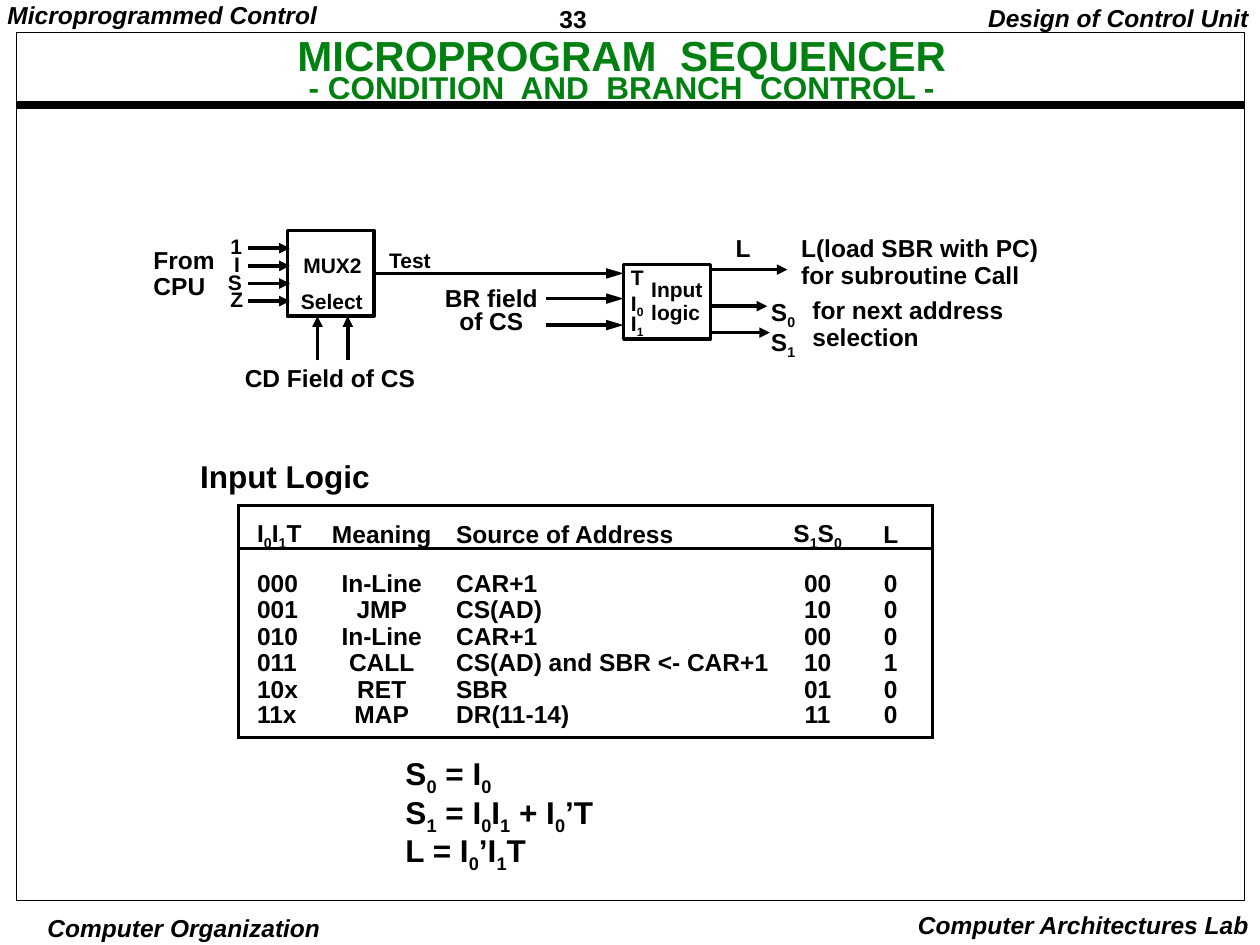
from lxml import etree
from pptx import Presentation
from pptx.dml.color import RGBColor
from pptx.enum.shapes import MSO_CONNECTOR, MSO_SHAPE
from pptx.enum.text import MSO_ANCHOR, PP_ALIGN
from pptx.oxml.ns import qn
from pptx.util import Inches, Pt

COLORS = {"ink": "000000", "title": "008011"}
FONT = "Arial"


def style_font(font, size, color="ink", italic=False):
    font.name, font.size, font.bold, font.italic = FONT, Pt(size), True, italic
    font.color.rgb = RGBColor.from_string(COLORS[color])


def write_text(paragraph, text, size, align=PP_ALIGN.LEFT, spacing=0.9, italic=False):
    """Write text in which an underscore makes the next character a subscript."""
    paragraph.alignment, paragraph.line_spacing = align, spacing
    style_font(paragraph.font, size, italic=italic)
    first, *rest = text.split("_")
    pieces = [(first, False)]
    for part in rest:
        pieces += [(part[0], True), (part[1:], False)]
    for piece, subscript in pieces:
        if piece:
            run = paragraph.add_run()
            run.text = piece
            if subscript:
                run.font._element.set("baseline", "-25000")


def set_insets(frame, horizontal, vertical):
    frame.margin_left = frame.margin_right = Inches(horizontal)
    frame.margin_top = frame.margin_bottom = Inches(vertical)


def add_label(slide, left, top, width, height, text, size=14, insets=(0.1, 0.05),
              wrap=False, **style):
    frame = slide.shapes.add_textbox(
        Inches(left), Inches(top), Inches(width), Inches(height)).text_frame
    frame.word_wrap = wrap
    set_insets(frame, *insets)
    for index, line in enumerate(text.split("\n")):
        paragraph = frame.add_paragraph() if index else frame.paragraphs[0]
        write_text(paragraph, line, size, **style)


def add_box(slide, left, top, width, height, weight=2):
    shape = slide.shapes.add_shape(
        MSO_SHAPE.RECTANGLE, Inches(left), Inches(top), Inches(width), Inches(height))
    shape.shadow.inherit = False
    shape.fill.background()
    shape.line.color.rgb = RGBColor.from_string(COLORS["ink"])
    shape.line.width = Pt(weight)
    return shape


def add_line(slide, start, end, weight=2, head=None):
    """Draw a line; head gives the arrowhead's width and length."""
    line = slide.shapes.add_connector(
        MSO_CONNECTOR.STRAIGHT, *(Inches(value) for value in (*start, *end)))
    line.line.color.rgb = RGBColor.from_string(COLORS["ink"])
    line.line.width = Pt(weight)
    if head:
        etree.SubElement(line.line._get_or_add_ln(), qn("a:tailEnd"),
                         type="triangle", w=head[0], len=head[1])
    etree.SubElement(line._element.spPr, qn("a:effectLst"))
    return line


def add_page_frame(slide, left, top, width, height):
    right, bottom = left + width, top + height
    add_label(slide, 0, 0, 2.8, 0.27, "Microprogrammed Control",
              insets=(0.06, 0.03), italic=True)
    add_label(slide, 4.37, 0, 1.08, 0.29, "33", insets=(0.07, 0.03), spacing=1)
    add_label(slide, right - 2.47, 0, 2.6, 0.31, "Design of Control Unit",
              align=PP_ALIGN.RIGHT, italic=True)
    add_label(slide, left + 0.03, bottom + 0.09, 2.6, 0.26, "Computer Organization",
              insets=(0.03, 0.01), align=PP_ALIGN.CENTER, spacing=1, italic=True)
    add_label(slide, right - 2.97, bottom + 0.02, 3.1, 0.33, "Computer Architectures Lab",
              align=PP_ALIGN.RIGHT, spacing=1, italic=True)
    add_line(slide, (left, top + 0.57), (right, top + 0.57), weight=4.5)
    add_box(slide, left, top, width, height, weight=0.5)


def add_title(slide, left, top, width, height):
    title = slide.shapes.title
    title.left, title.top = Inches(left), Inches(top)
    title.width, title.height = Inches(width), Inches(height)
    frame = title.text_frame
    frame.vertical_anchor = MSO_ANCHOR.MIDDLE
    set_insets(frame, 0.07, 0.03)
    paragraph = frame.paragraphs[0]
    paragraph.alignment, paragraph.line_spacing = PP_ALIGN.CENTER, 0.7
    style_font(paragraph.font, 24, "title")
    paragraph.add_run().text = "MICROPROGRAM  SEQUENCER"
    paragraph.add_line_break()
    subtitle = paragraph.add_run()
    subtitle.text = "- CONDITION  AND  BRANCH  CONTROL -"
    subtitle.font.size = Pt(18)


def add_multiplexer(slide, left, top, width, height):
    """Draw MUX2 with its inputs and select lines."""
    box = add_box(slide, left, top, width, height)
    add_label(slide, left + 0.03, top + 0.15, 0.66, 0.28, "MUX2", 12)
    add_label(slide, left + 0.01, top + 0.43, 0.69, 0.28, "Select", 12)
    for index, (name, offset) in enumerate(
            [("1", 0.55), ("I", 0.52), ("S", 0.57), ("Z", 0.55)]):
        y = top + 0.14 * (index + 1)
        add_line(slide, (left - 0.31, y), (left + 0.02, y), head=("med", "med"))
        add_label(slide, left - offset, y - 0.14, 0.3, 0.28, name, 12)
    add_label(slide, left - 1.16, top + 0.09, 0.74, 0.52, "From\nCPU")
    bottom = top + height
    for x in (left + 0.24, left + 0.48):
        add_line(slide, (x, bottom + 0.35), (x, bottom), head=("med", "med"))
    add_label(slide, left - 0.61, bottom + 0.35, 1.9, 0.31, "CD Field of CS",
              align=PP_ALIGN.CENTER)
    return box


def add_input_logic(slide, left, top, width, height):
    """Draw the input logic block with its branch inputs and outputs."""
    right = left + width
    add_box(slide, left, top, width, height)
    add_label(slide, left + 0.12, top + 0.07, 0.61, 0.46, "Input\nlogic", 12)
    for name, offset in (("T", -0.03), ("I_0", 0.16), ("I_1", 0.32)):
        add_label(slide, left - 0.04, top + offset, 0.3, 0.3, name, 12)
    for offset in (0.27, 0.48):
        add_line(slide, (left - 0.62, top + offset), (left, top + offset),
                 head=("med", "lg"))
    add_label(slide, left - 1.52, top + 0.14, 0.94, 0.47, "BR field\nof CS",
              align=PP_ALIGN.CENTER, spacing=0.8)
    for offset, length in ((0.04, 0.61), (0.33, 0.45), (0.54, 0.47)):
        add_line(slide, (right, top + offset), (right + length, top + offset),
                 head=("med", "med"))
    add_label(slide, right + 0.1, top - 0.27, 0.32, 0.31, "L")
    add_label(slide, right + 0.62, top - 0.27, 2.22, 0.52,
              "L(load SBR with PC) for subroutine Call", wrap=True)
    add_label(slide, right + 0.38, top + 0.21, 0.39, 0.58, "S_0\nS_1")
    add_label(slide, right + 0.71, top + 0.22, 1.9, 0.52, "for next address\nselection")


def add_sequencer_diagram(slide, left, top):
    multiplexer = add_multiplexer(slide, left, top, 0.69, 0.68)
    add_input_logic(slide, left + 2.67, top + 0.27, 0.69, 0.59)
    test_y = top + 0.34
    test_line = add_line(slide, (left + 0.69, test_y), (left + 2.67, test_y),
                         head=("med", "lg"))
    test_line.begin_connect(multiplexer, 3)
    add_label(slide, left + 0.71, top + 0.11, 0.54, 0.28, "Test", 12)


def set_borders(cell, visible_sides):
    properties = cell._tc.get_or_add_tcPr()
    for index, side in enumerate("LRTB"):
        border = etree.Element(qn(f"a:ln{side}"), w=str(Pt(2)))
        if side in visible_sides:
            fill = etree.SubElement(border, qn("a:solidFill"))
            etree.SubElement(fill, qn("a:srgbClr"), val=COLORS["ink"])
        else:
            etree.SubElement(border, qn("a:noFill"))
        properties.insert(index, border)


def add_truth_table(slide, left, top):
    rows = [
        ("I_0I_1T", "Meaning", "Source of Address", "S_1S_0", "L"),
        ("000", "In-Line", "CAR+1", "00", "0"),
        ("001", "JMP", "CS(AD)", "10", "0"),
        ("010", "In-Line", "CAR+1", "00", "0"),
        ("011", "CALL", "CS(AD) and SBR <- CAR+1", "10", "1"),
        ("10x", "RET", "SBR", "01", "0"),
        ("11x", "MAP", "DR(11-14)", "11", "0"),
    ]
    widths = [0.61, 1.06, 2.68, 0.5, 0.66]
    heights = [0.34, 0.39, 0.21, 0.21, 0.21, 0.21, 0.27]
    insets = [0.15, 0, 0.06, 0, 0]
    last_row, last_column = len(rows) - 1, len(widths) - 1
    add_label(slide, left - 0.4, top - 0.4, 1.7, 0.37, "Input Logic", 18)
    table = slide.shapes.add_table(
        len(rows), len(widths), Inches(left), Inches(top),
        Inches(sum(widths)), Inches(sum(heights))).table
    table.horz_banding = False
    for column, width in zip(table.columns, widths):
        column.width = Inches(width)
    for r, (row, height) in enumerate(zip(rows, heights)):
        table.rows[r].height = Inches(height)
        for c, text in enumerate(row):
            cell = table.cell(r, c)
            cell.fill.background()
            cell.margin_left = Inches(insets[c])
            cell.margin_right = cell.margin_top = cell.margin_bottom = 0
            cell.vertical_anchor = MSO_ANCHOR.TOP if r == last_row else MSO_ANCHOR.BOTTOM
            align = PP_ALIGN.LEFT if c in (0, 2) else PP_ALIGN.CENTER
            write_text(cell.text_frame.paragraphs[0], text, 14, align)
            sides = ("L" if c == 0 else "") + ("R" if c == last_column else "")
            sides += "TB" if r == 0 else "T" if r == 1 else "B" if r == last_row else ""
            set_borders(cell, sides)


def main():
    presentation = Presentation()
    presentation.slide_width, presentation.slide_height = Inches(10), Inches(7.5)
    slide = presentation.slides.add_slide(presentation.slide_layouts[5])
    add_page_frame(slide, 0.13, 0.26, 9.75, 6.89)
    add_title(slide, 0.89, 0.31, 8.09, 0.55)
    add_sequencer_diagram(slide, 2.28, 1.83)
    add_truth_table(slide, 1.89, 4.01)
    # Resulting equations
    add_label(slide, 3.12, 5.94, 1.9, 1.02,
              "S_0 = I_0\nS_1 = I_0I_1 + I_0’T\nL = I_0’I_1T", 18)
    presentation.save("out.pptx")


if __name__ == "__main__":
    main()
